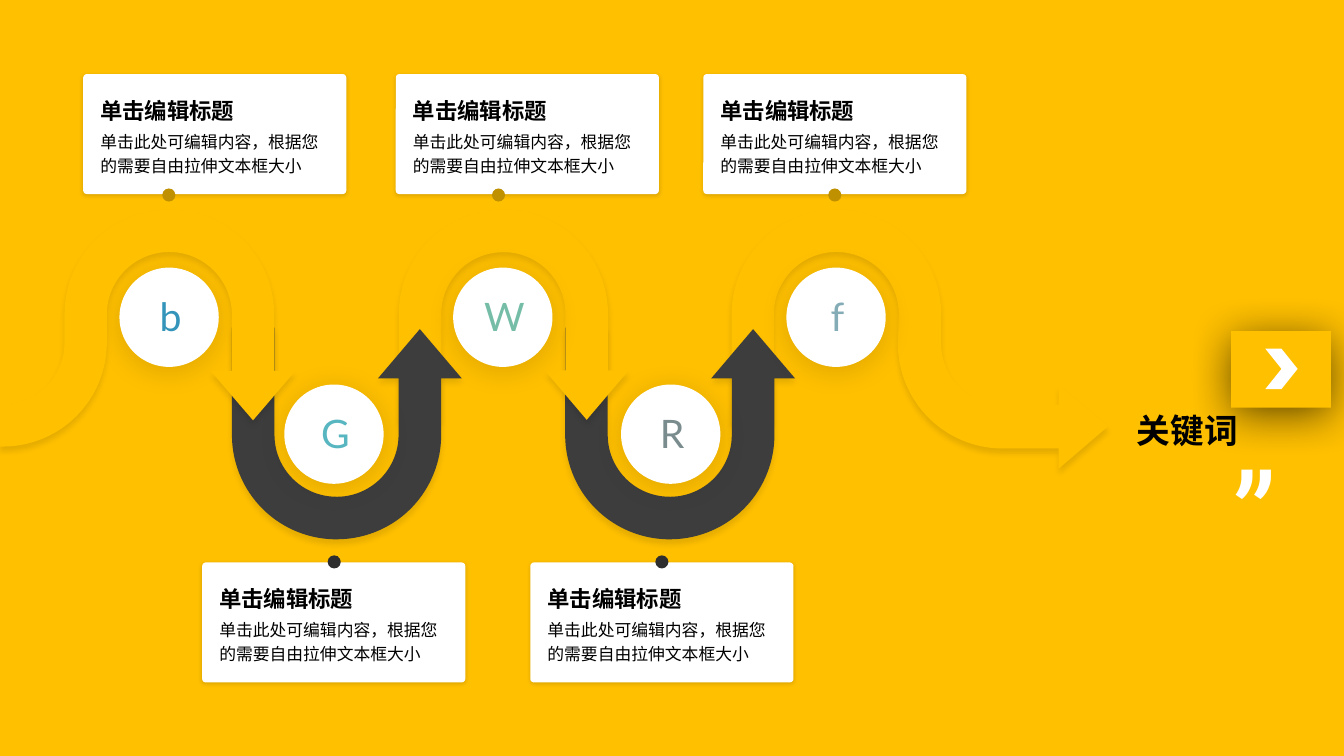
import math
from dataclasses import dataclass

import lxml.etree
import pptx
import pptx.dml.color
import pptx.enum.shapes
import pptx.enum.text
import pptx.oxml.ns
import pptx.util

RGB = pptx.dml.color.RGBColor
SHAPE = pptx.enum.shapes.MSO_SHAPE
ALIGN = pptx.enum.text.PP_ALIGN
ANCHOR = pptx.enum.text.MSO_ANCHOR
qn = pptx.oxml.ns.qn

AMBER = RGB(0xFF, 0xC0, 0x00)
OCHRE = RGB(0xBF, 0x90, 0x00)
CHARCOAL = RGB(0x3D, 0x3D, 0x3D)
DARK = RGB(0x2E, 0x2E, 0x2E)
WHITE = RGB(0xFF, 0xFF, 0xFF)
BLACK = RGB(0x00, 0x00, 0x00)
BLUE = RGB(0x34, 0x94, 0xBA)
TEAL = RGB(0x58, 0xB6, 0xC0)
GREEN = RGB(0x75, 0xBD, 0xA7)
GREY = RGB(0x7A, 0x8C, 0x8E)
STEEL = RGB(0x84, 0xAC, 0xB6)

# Grid: all lengths below are columns and rows
SLIDE_W, SLIDE_H = pptx.util.Inches(13.33), pptx.util.Inches(7.5)
COL, ROW = SLIDE_W / 133.3, SLIDE_H / 75

TITLE = "单击编辑标题"
BODY = "单击此处可编辑内容，根据您的需要自由拉伸文本框大小"

Point = tuple[float, float]
Box = tuple[float, float, float, float]


@dataclass
class Shadow:
    opacity: int
    blur: float
    distance: float


@dataclass
class Card:
    left: float
    top: float
    dot_left: float
    dot_top: float
    dot_color: RGB


@dataclass
class Badge:
    letter: str
    left: float
    top: float
    color: RGB


@dataclass
class Turn:
    left: float
    top: float
    color: RGB
    upward: bool


@dataclass
class Quarter:
    """A quarter circle; degrees run clockwise from the right."""
    cx: float
    cy: float
    radius: float
    start: int
    sweep: int

    def end(self) -> Point:
        a = math.radians(self.start + self.sweep)
        return self.cx + self.radius * math.cos(a), self.cy + self.radius * math.sin(a)


RIBBON_SHADOW = Shadow(10, 4, 3)
BADGE_SHADOW = Shadow(13, 20, 3)
CARD_SHADOW = Shadow(15, 3, 1)
BUTTON_SHADOW = Shadow(62, 32, 5)

TURNS = [
    Turn(56.05, 32.5, CHARCOAL, True),
    Turn(39.55, 20.8, AMBER, False),
    Turn(23, 32.5, CHARCOAL, True),
]
BADGES = [
    Badge("W", 44.95, 26.55, GREEN),
    Badge("b", 11.85, 26.55, BLUE),
    Badge("G", 28.2, 38.15, TEAL),
    Badge("R", 61.6, 38.15, GREY),
    Badge("f", 78, 26.55, STEEL),
]
CARDS = [
    Card(20.05, 55.8, 32.5, 55.1, DARK),
    Card(52.6, 55.8, 65, 55.1, DARK),
    Card(8.25, 7.35, 16.1, 18.7, OCHRE),
    Card(39.25, 7.35, 48.8, 18.7, OCHRE),
    Card(69.75, 7.35, 82.15, 18.7, OCHRE),
]


def place(box: Box) -> list[int]:
    x, y, w, h = box
    return [round(x * COL), round(y * ROW), round(w * COL), round(h * ROW)]


def style(s, color: RGB, shadow: Shadow | None = None) -> None:
    s.fill.solid()
    s.fill.fore_color.rgb = color
    s.line.fill.background()
    s.shadow.inherit = False
    if shadow:
        outer = lxml.etree.SubElement(
            s.element.spPr.find(qn("a:effectLst")), qn("a:outerShdw"),
            blurRad=str(pptx.util.Pt(shadow.blur)), dist=str(pptx.util.Pt(shadow.distance)),
            dir="5400000", algn="ctr", rotWithShape="0")
        tint = lxml.etree.SubElement(outer, qn("a:srgbClr"), val=str(BLACK))
        lxml.etree.SubElement(tint, qn("a:alpha"), val=str(shadow.opacity * 1000))


def add_shape(sl, kind, box: Box, color: RGB, shadow: Shadow | None = None,
              adj: tuple[float, ...] = ()):
    s = sl.shapes.add_shape(kind, *place(box))
    for i, value in enumerate(adj):
        s.adjustments[i] = value
    style(s, color, shadow)
    return s


def write(s, text: str, *, size: float, font: str = "Arial", color: RGB = BLACK,
          bold: bool = False, align=ALIGN.LEFT, anchor=ANCHOR.TOP,
          spacing: float = 1.2, before: float = 0.2, inset: Point = (0, 0)) -> None:
    tf = s.text_frame
    tf.word_wrap = True
    tf.vertical_anchor = anchor
    tf.margin_left, tf.margin_top = round(inset[0] * COL), round(inset[1] * ROW)
    tf.margin_right = tf.margin_bottom = 0
    p = tf.paragraphs[0]
    p.alignment, p.line_spacing = align, spacing
    p.space_before = pptx.util.Pt(before * size)
    r = p.add_run()
    r.text = text
    r.font.name, r.font.size, r.font.bold = font, pptx.util.Pt(size), bold
    r.font.color.rgb = color


def add_text(sl, box: Box, text: str, **fmt) -> None:
    write(sl.shapes.add_textbox(*place(box)), text, **fmt)


def arch(cx: float, cy: float, radius: float, sweep: int) -> list[Quarter]:
    """Upper half circle, from the left for a sweep of 90 and from the right for -90."""
    start = 180 if sweep > 0 else 360
    return [Quarter(cx, cy, radius, start, sweep), Quarter(cx, cy, radius, 270, sweep)]


def add_ribbon(sl, outline: list[Point | Quarter]) -> None:
    ends = [step.end() if isinstance(step, Quarter) else step for step in outline]
    emu = [(round(x * COL), round(y * ROW)) for x, y in ends]
    builder = sl.shapes.build_freeform(*emu[0], scale=1.0)
    builder.add_line_segments(emu[1:], close=True)
    s = builder.convert_to_shape()
    # Bend the straight segments that stand for quarter circles
    segments = list(s.element.iter(qn("a:lnTo")))
    for step, segment in zip(outline[1:], segments):
        if isinstance(step, Quarter):
            radius = str(round(step.radius * COL))
            bend = lxml.etree.Element(
                qn("a:arcTo"), wR=radius, hR=radius,
                stAng=str(step.start % 360 * 60000), swAng=str(step.sweep * 60000))
            segment.getparent().replace(segment, bend)
    style(s, AMBER, RIBBON_SHADOW)


def add_card(sl, card: Card) -> None:
    x, y = card.left, card.top
    add_shape(sl, SHAPE.ROUNDED_RECTANGLE, (x, y, 26.1, 11.9), WHITE, CARD_SHADOW, (0.03,))
    add_shape(sl, SHAPE.OVAL, (card.dot_left, card.dot_top, 1.3, 1.3), card.dot_color)
    add_text(sl, (x + 1.7, y + 1.75, 14.2, 3.2), TITLE, size=16, bold=True)
    add_text(sl, (x + 1.7, y + 5.3, 22.7, 4.8), BODY, size=12)


def main() -> None:
    prs = pptx.Presentation()
    prs.slide_width, prs.slide_height = SLIDE_W, SLIDE_H
    sl = prs.slides.add_slide(prs.slide_layouts[6])
    sl.background.fill.solid()
    sl.background.fill.fore_color.rgb = AMBER

    # Closing ribbon, ending in an arrow to the keyword
    add_ribbon(sl, [
        (72.55, 41.9), (72.55, 31.2), *arch(82.95, 31.2, 10.4, 90),
        (93.35, 34.1), Quarter(99.45, 34.1, 6.1, 180, -90),
        (105, 40.2), (105, 38.2), (109.9, 42.3), (105, 46.5), (105, 44.5),
        (99.45, 44.5), Quarter(99.45, 34.1, 10.4, 90, 90),
        (89.15, 31.2), *arch(82.95, 31.2, 6.2, -90), (76.75, 41.9)])

    # U-turn arrows
    for turn in TURNS:
        s = add_shape(sl, SHAPE.U_TURN_ARROW, (turn.left, turn.top, 22.8, 21), turn.color,
                      RIBBON_SHADOW, (0.201, 0.198, 0.233, 0.493, 0.993))
        if turn.upward:
            s.rotation = 180
            s.element.spPr.xfrm.set("flipH", "1")

    # Lettered circles
    for badge in BADGES:
        s = add_shape(sl, SHAPE.OVAL, (badge.left, badge.top, 9.85, 9.85), WHITE, BADGE_SHADOW)
        write(s, badge.letter, size=28, font="Lato", color=badge.color, align=ALIGN.CENTER,
              anchor=ANCHOR.MIDDLE, spacing=0.9, before=0, inset=(0.3, 0.3))

    # Opening ribbon, from the left edge
    add_ribbon(sl, [
        (0, 44.3), (0.3, 44.3), Quarter(0.3, 34, 10.3, 90, -90),
        (10.6, 31.2), *arch(16.8, 31.2, 6.2, 90),
        (23, 36.8), (20.9, 36.8), (25.1, 41.7), (29.3, 36.8), (27.2, 36.8),
        (27.2, 31.2), *arch(16.8, 31.2, 10.4, -90),
        (6.4, 34), Quarter(0.3, 34, 6.1, 0, 90), (0, 40.1)])

    # Text cards
    for card in CARDS:
        add_card(sl, card)

    # Keyword, quote mark and button
    add_text(sl, (121.3, 45.9, 7.9, 4), "”", size=88, font="Roboto", color=WHITE,
             spacing=0.8, before=0, inset=(1, 0.5))
    add_text(sl, (110.25, 39.9, 15, 4.4), "关键词", size=24, bold=True, align=ALIGN.CENTER)
    add_shape(sl, SHAPE.RECTANGLE, (122.1, 32.85, 9.9, 7.6), AMBER, BUTTON_SHADOW)
    add_shape(sl, SHAPE.CHEVRON, (125.5, 34.6, 3.2, 4), WHITE)

    prs.save("out.pptx")


if __name__ == "__main__":
    main()
